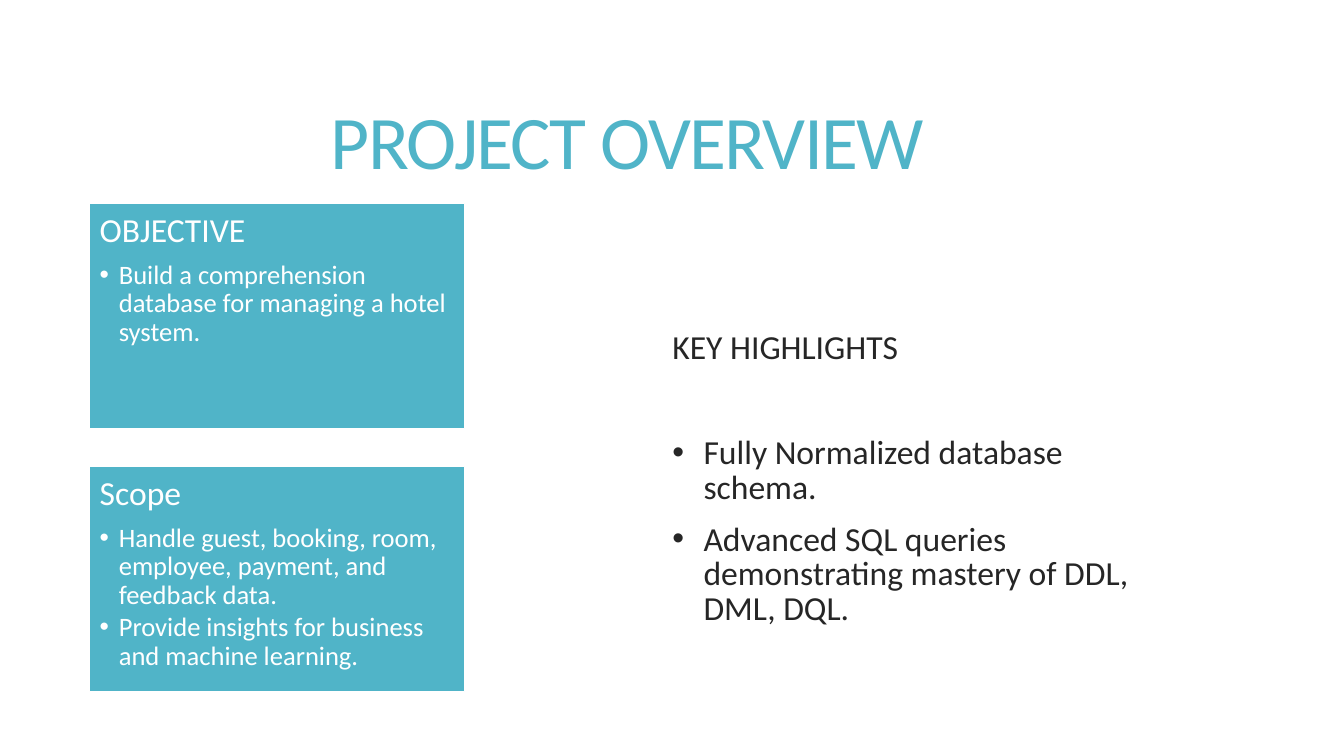
from lxml import etree
from pptx import Presentation
from pptx.dml.color import RGBColor
from pptx.enum import shapes, text
from pptx.oxml.ns import qn
from pptx.util import Inches, Pt

TEAL, WHITE, DARK = "50B4C8", "FFFFFF", "262626"
CARDS = [
    ("OBJECTIVE", ["Build a comprehension database for managing a hotel system."]),
    ("Scope", ["Handle guest, booking, room, employee, payment, and feedback data.",
               "Provide insights for business and machine learning."]),
]
POINTS = ["Fully Normalized database schema.",
          "Advanced SQL queries demonstrating mastery of DDL, DML, DQL."]


def color(code):
    return RGBColor.from_string(code)


def style(para, words, size, code, lines, before=0, after=0):
    para.text = words
    para.alignment = text.PP_ALIGN.LEFT
    para.line_spacing = lines
    para.space_before, para.space_after = Pt(before), Pt(after)
    para.font.name, para.font.size = "Calibri", Pt(size)
    para.font.color.rgb = color(code)


def bullet(para, indent):
    props = para._p.get_or_add_pPr()
    props.set("marL", str(Inches(indent)))
    props.set("indent", str(-Inches(indent)))
    font = etree.Element(qn("a:buFont"), typeface="Arial")
    mark = etree.Element(qn("a:buChar"), char="•")
    props.insert_element_before(font, "a:tabLst", "a:defRPr", "a:extLst")
    props.insert_element_before(mark, "a:tabLst", "a:defRPr", "a:extLst")


def setup(frame, anchor):
    frame.word_wrap = True
    frame.auto_size = text.MSO_AUTO_SIZE.NONE
    frame.vertical_anchor = anchor


def heading(slide):
    title = slide.shapes.title
    title.left, title.top = Inches(0.72), Inches(0.55)
    title.width, title.height = Inches(11.78), Inches(1.81)
    frame = title.text_frame
    setup(frame, text.MSO_ANCHOR.MIDDLE)
    frame.margin_left = Inches(2.56)
    para = frame.paragraphs[0]
    style(para, "PROJECT OVERVIEW", 54, TEAL, 0.85)
    para.runs[0]._r.get_or_add_rPr().set("spc", "-120")


def card(slide, top, name, items):
    box = slide.shapes.add_shape(shapes.MSO_SHAPE.RECTANGLE, Inches(0.89), Inches(top),
                                 Inches(3.72), Inches(2.23))
    box.shadow.inherit = False
    box.fill.solid()
    box.fill.fore_color.rgb = color(TEAL)
    box.line.color.rgb = color(WHITE)
    box.line.width = Pt(1)
    frame = box.text_frame
    setup(frame, text.MSO_ANCHOR.TOP)
    frame.margin_left = frame.margin_right = Inches(0.1)
    frame.margin_top = frame.margin_bottom = Inches(0.1)
    style(frame.paragraphs[0], name, 24, WHITE, 0.9, after=8)
    for item in items:
        para = frame.add_paragraph()
        style(para, item, 19, WHITE, 0.9, after=2.5)
        para.level = 1
        bullet(para, 0.19)


def points(slide):
    box = slide.shapes.add_textbox(Inches(6.57), Inches(2.19), Inches(5.1), Inches(4.12))
    frame = box.text_frame
    setup(frame, text.MSO_ANCHOR.TOP)
    frame.margin_top = Inches(1.1)
    style(frame.paragraphs[0], "KEY HIGHLIGHTS", 24, DARK, 0.85, before=13)
    for item, gap in zip(POINTS, (51, 13)):
        para = frame.add_paragraph()
        style(para, item, 24, DARK, 0.85, before=gap)
        bullet(para, 0.31)


def main():
    deck = Presentation()
    deck.slide_width, deck.slide_height = Inches(13.33), Inches(7.5)
    slide = deck.slides.add_slide(deck.slide_layouts[5])
    heading(slide)
    for row, (name, items) in enumerate(CARDS):
        card(slide, 2.02 + row * 2.61, name, items)
    points(slide)
    deck.save("out.pptx")


if __name__ == "__main__":
    main()
